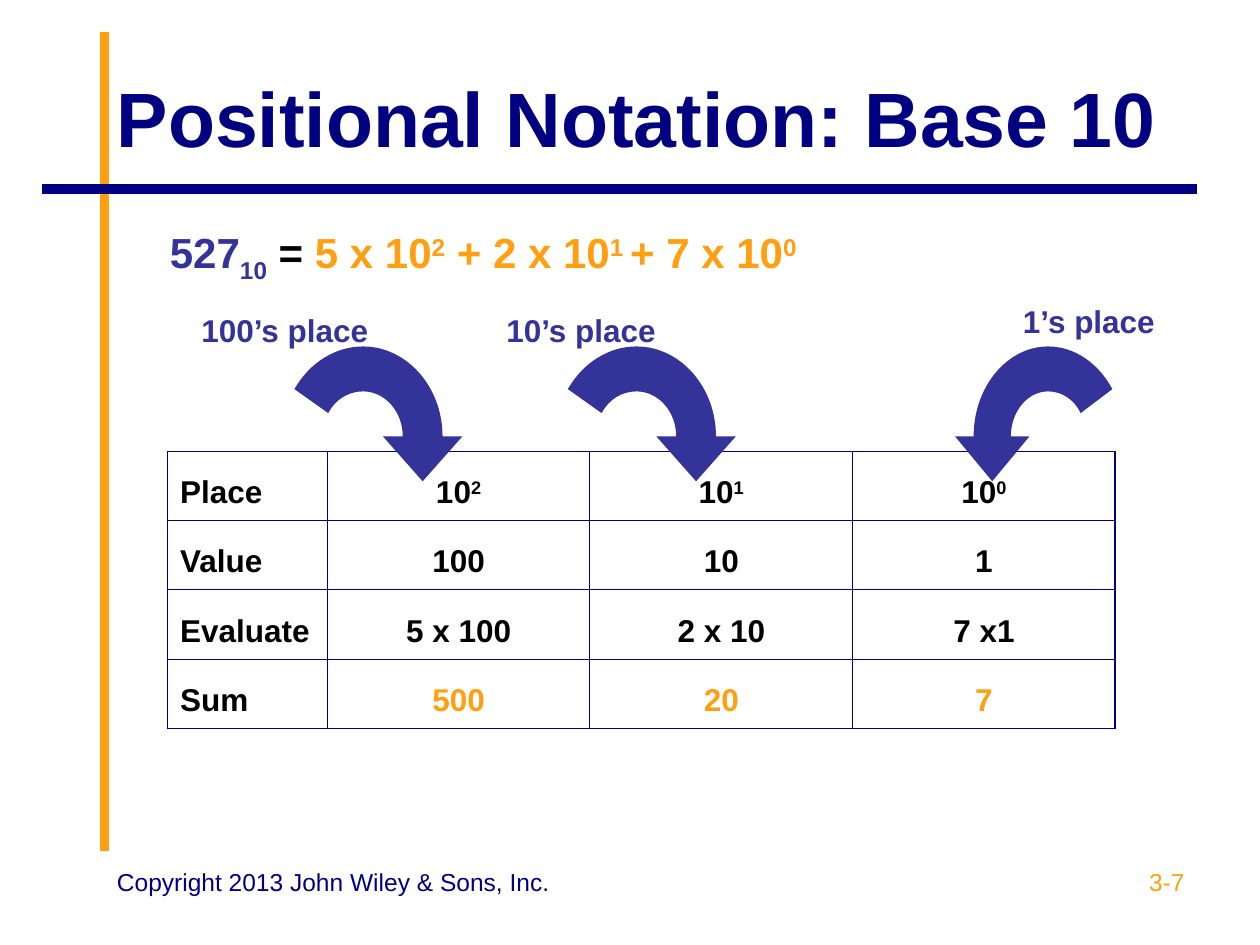
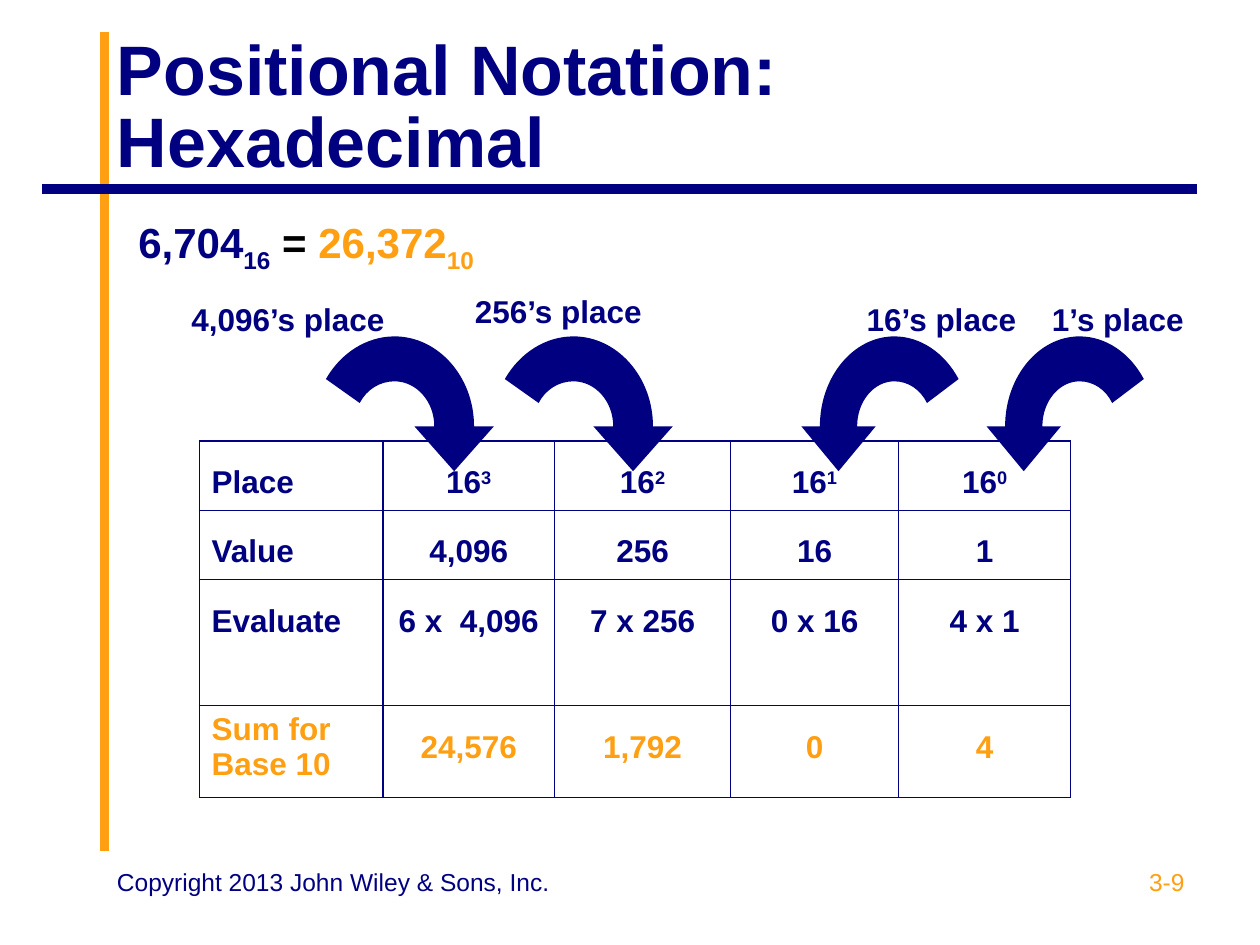
from lxml.etree import SubElement
from pptx import Presentation
from pptx.dml.color import RGBColor
from pptx.enum.shapes import MSO_CONNECTOR
from pptx.enum.text import MSO_ANCHOR, PP_ALIGN
from pptx.oxml.ns import qn
from pptx.util import Inches, Pt

FONT = "Arial"
NAVY = "000080"
INDIGO = "333399"
ORANGE = "FF9F11"
BLACK = "000000"
SUPERSCRIPT = 30
SUBSCRIPT = -25
ARROW_TOP_ABOVE_TABLE = 0.83
ARROW_HEIGHT = 1.07
ARROW_GRID = 900
ARROW_OUTLINE = [
    ("moveTo", [(300, 600)]),
    ("cubicBezTo", [(300, 434), (390, 300), (500, 300)]),
    ("cubicBezTo", [(574, 300), (640, 355), (675, 445)]),
    ("lnTo", [(845, 285)]),
    ("cubicBezTo", [(770, 110), (640, 0), (500, 0)]),
    ("cubicBezTo", [(280, 0), (100, 270), (100, 600)]),
    ("lnTo", [(0, 600)]),
    ("lnTo", [(200, 900)]),
    ("lnTo", [(400, 600)]),
    ("lnTo", [(300, 600)]),
    ("close", []),
]


def color(hex_value):
    """Return the colour for a hex string."""
    return RGBColor.from_string(hex_value)


def add_fragments(paragraph, fragments, size, bold=True):
    """Add (text, colour, baseline percent) fragments as runs."""
    for text, hex_value, baseline in fragments:
        run = paragraph.add_run()
        run.text = text
        run.font.name = FONT
        run.font.size = Pt(size)
        run.font.bold = bold
        run.font.color.rgb = color(hex_value)
        if baseline:
            run.font._element.set("baseline", str(baseline * 1000))


def add_text(slide, box, fragments, size, bold=True, align=PP_ALIGN.LEFT):
    """Add a wrapping text box and return its text frame."""
    text_frame = slide.shapes.add_textbox(*map(Inches, box)).text_frame
    text_frame.word_wrap = True
    paragraph = text_frame.paragraphs[0]
    paragraph.alignment = align
    add_fragments(paragraph, fragments, size, bold)
    return text_frame


def add_rule(slide, start, end, hex_value):
    """Add a thick straight rule without a shadow."""
    connector = slide.shapes.add_connector(
        MSO_CONNECTOR.STRAIGHT, *map(Inches, start + end))
    connector.line.color.rgb = color(hex_value)
    connector.line.width = Pt(5.5)
    SubElement(connector._element.spPr, qn("a:effectLst"))


def add_frame(slide, page):
    """Add the rules, copyright line and page number."""
    add_rule(slide, (0.83, 6.75), (0.83, 0.25), ORANGE)
    add_rule(slide, (9.5, 1.5), (0.33, 1.5), NAVY)
    add_text(slide, (7.17, 6.83, 2.33, 0.52), [(page, ORANGE, 0)], 14,
             False, PP_ALIGN.RIGHT)
    add_text(slide, (0.83, 6.83, 3.67, 0.52),
             [("Copyright 2013 John Wiley & Sons, Inc.", NAVY, 0)], 14, False)


def add_title(slide, lines, top, size, line_spacing):
    """Add the title, with a line break between its lines."""
    text_frame = add_text(slide, (0.83, top, 8.67, 1.25), [], size)
    text_frame.vertical_anchor = MSO_ANCHOR.MIDDLE
    paragraph = text_frame.paragraphs[0]
    paragraph.line_spacing = line_spacing
    for index, line in enumerate(lines):
        if index:
            paragraph.add_line_break()
        add_fragments(paragraph, [(line, NAVY, 0)], size)


def add_borders(cell):
    """Draw a thin navy border on all sides of a cell."""
    properties = cell._tc.get_or_add_tcPr()
    for position, side in enumerate(("lnL", "lnR", "lnT", "lnB")):
        line = SubElement(properties, qn(f"a:{side}"), w=str(Pt(0.75)))
        fill = SubElement(line, qn("a:solidFill"))
        SubElement(fill, qn("a:srgbClr"), val=NAVY)
        properties.insert(position, line)


def fill_cell(cell, text, hex_value, align, line_spacing):
    """Write a cell; a caret starts a superscript exponent."""
    cell.fill.background()
    add_borders(cell)
    base, _, exponent = text.partition("^")
    fragments = [(base, hex_value, 0)]
    if exponent:
        fragments.append((exponent, hex_value, SUPERSCRIPT))
    paragraph = cell.text_frame.paragraphs[0]
    paragraph.alignment = align
    paragraph.line_spacing = line_spacing
    add_fragments(paragraph, fragments, 18)


def add_place_table(slide, left, top, widths, heights, rows, text_color,
                    sum_label_color):
    """Add the place-value table with an orange sum row."""
    table = slide.shapes.add_table(
        len(rows), len(widths), Inches(left), Inches(top),
        Inches(sum(widths)), Inches(sum(heights))).table
    table.first_row = False
    table.horz_banding = False
    for column, width in zip(table.columns, widths):
        column.width = Inches(width)
    for row, height in zip(table.rows, heights):
        row.height = Inches(height)
    for row_index, row in enumerate(rows):
        is_sum = row_index == len(rows) - 1
        for column_index, text in enumerate(row):
            is_label = column_index == 0
            hex_value = text_color
            if is_sum:
                hex_value = sum_label_color if is_label else ORANGE
            fill_cell(table.cell(row_index, column_index), text, hex_value,
                      PP_ALIGN.LEFT if is_label else PP_ALIGN.CENTER,
                      1.0 if is_sum and len(text) > 10 else 1.5)


def draw_arrow_outline(outline, points_right):
    """Write the curved arrow outline, mirrored when it points right."""
    outline.clear()
    outline.set("w", str(ARROW_GRID))
    outline.set("h", str(ARROW_GRID))
    for command, points in ARROW_OUTLINE:
        step = SubElement(outline, qn(f"a:{command}"))
        for x, y in points:
            SubElement(step, qn("a:pt"), y=str(y),
                       x=str(ARROW_GRID - x if points_right else x))


def add_curved_arrow(slide, left, top, points_right, hex_value):
    """Add a bent arrow whose head drops on the right or left."""
    width = 1.42 if points_right else 1.33
    right, bottom = Inches(left + width), Inches(top + ARROW_HEIGHT)
    builder = slide.shapes.build_freeform(Inches(left), Inches(top))
    builder.add_line_segments([(right, Inches(top)), (right, bottom)])
    shape = builder.convert_to_shape()
    draw_arrow_outline(next(shape._element.iter(qn("a:path"))), points_right)
    shape.shadow.inherit = False
    shape.fill.solid()
    shape.fill.fore_color.rgb = color(hex_value)
    shape.line.fill.background()


def add_places(slide, places, table_top, hex_value):
    """Add each place label with its arrow into the table."""
    for label, label_box, arrow_left, points_right in places:
        add_curved_arrow(slide, arrow_left, table_top - ARROW_TOP_ABOVE_TABLE,
                         points_right, hex_value)
        add_text(slide, (*label_box, 0.4), [(label, hex_value, 0)], 18)


def build_base_ten(slide):
    """Build the base 10 slide."""
    table_top = 3.58
    add_frame(slide, "3-7")
    add_title(slide, ["Positional Notation: Base 10"], 0.3, 44, 1.0)
    add_place_table(
        slide, 1.33, table_top, [1.27, 2.08, 2.09, 2.08], [0.55] * 4,
        [["Place", "10^2", "10^1", "10^0"],
         ["Value", "100", "10", "1"],
         ["Evaluate", "5 x 100", "2 x 10", "7 x1"],
         ["Sum", "500", "20", "7"]], BLACK, BLACK)
    add_places(slide, [
        ("1’s place", (8.02, 2.35, 1.42), 7.58, False),
        ("10’s place", (3.92, 2.42, 1.42), 4.42, True),
    ], table_top, INDIGO)
    add_text(slide, (1.25, 1.75, 5.58, 0.56), [
        ("527", INDIGO, 0), ("10", INDIGO, SUBSCRIPT), (" =", BLACK, 0),
        (" 5 x 10", ORANGE, 0), ("2", ORANGE, SUPERSCRIPT),
        (" + 2 x 10", ORANGE, 0), ("1 ", ORANGE, SUPERSCRIPT),
        ("+ 7 x 10", ORANGE, 0), ("0", ORANGE, SUPERSCRIPT)], 24)
    add_places(slide, [("100’s place", (1.5, 2.42, 1.67), 2.25, True)],
               table_top, INDIGO)


def build_hexadecimal(slide):
    """Build the hexadecimal slide."""
    table_top = 3.5
    add_frame(slide, "3-9")
    add_title(slide, ["Positional Notation: ", "Hexadecimal"], 0.25, 40, 0.85)
    add_text(slide, (1, 1.67, 8.5, 1.06), [
        ("6,704", NAVY, 0), ("16", NAVY, SUBSCRIPT), (" = ", BLACK, 0),
        ("26,372", ORANGE, 0), ("10", ORANGE, SUBSCRIPT)], 24)
    add_place_table(
        slide, 1.58, table_top, [1.46, 1.36, 1.4, 1.33, 1.37],
        [0.55, 0.55, 1, 0.73],
        [["Place", "16^3", "16^2", "16^1", "16^0"],
         ["Value", "4,096", "256", "16", "1"],
         ["Evaluate", "6 x  4,096", "7 x 256", "0 x 16", "4 x 1"],
         ["Sum for Base 10", "24,576", "1,792", "0", "4"]], NAVY, ORANGE)
    add_places(slide, [
        ("4,096’s place", (1.42, 2.33, 2), 2.5, True),
        ("256’s place", (3.67, 2.27, 1.67), 3.92, True),
        ("1’s place", (8.25, 2.33, 1.42), 7.83, False),
        ("16’s place", (6.78, 2.33, 1.42), 6.36, False),
    ], table_top, NAVY)


def main():
    """Build and save the presentation."""
    presentation = Presentation()
    presentation.slide_width = Inches(10)
    presentation.slide_height = Inches(7.5)
    blank_layout = presentation.slide_layouts[6]
    for build_slide in (build_base_ten, build_hexadecimal):
        build_slide(presentation.slides.add_slide(blank_layout))
    presentation.save("out.pptx")


if __name__ == "__main__":
    main()
